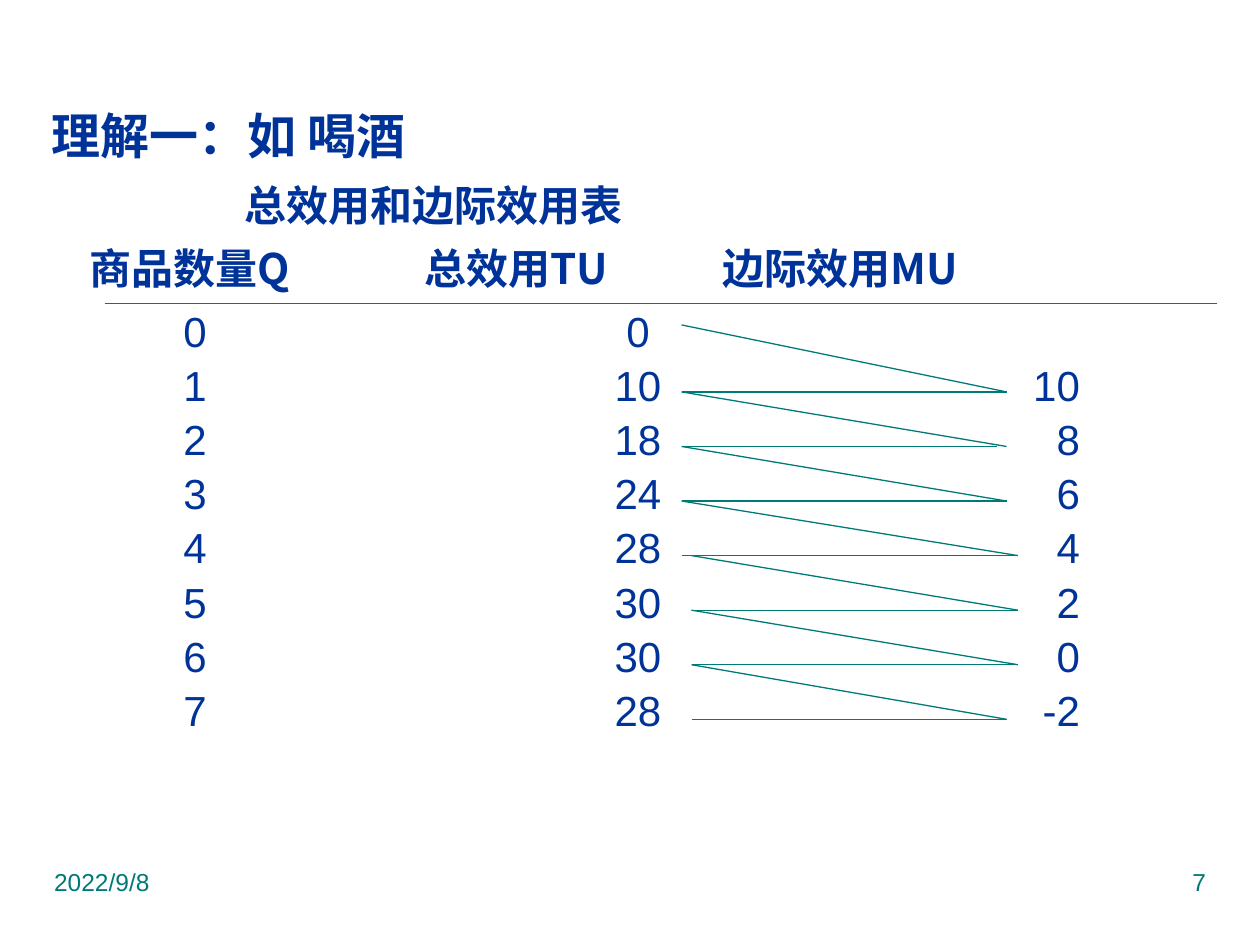
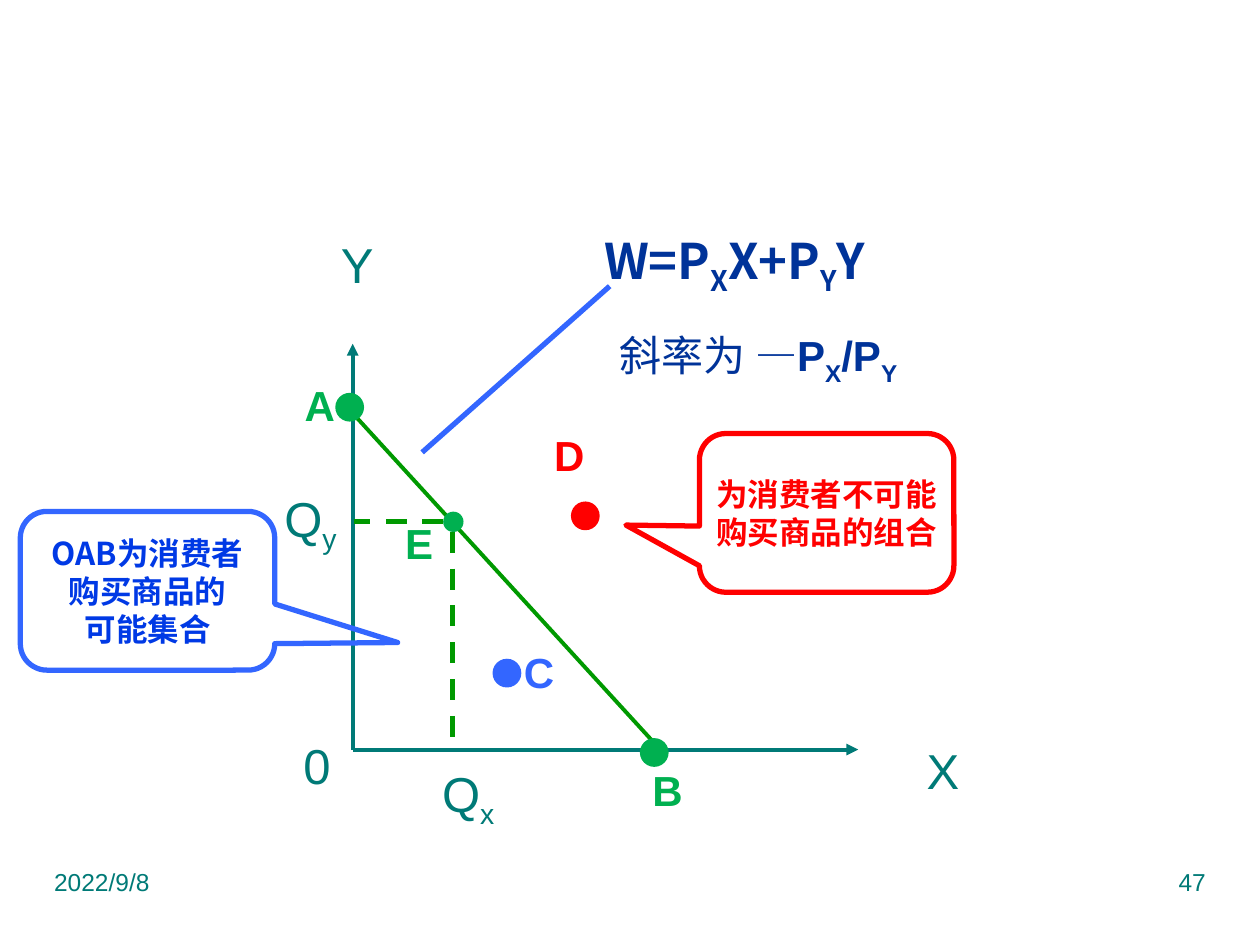
from lxml import etree
from pptx import Presentation
from pptx.dml.color import RGBColor
from pptx.enum.dml import MSO_LINE
from pptx.enum.shapes import MSO_CONNECTOR, MSO_SHAPE
from pptx.enum.text import MSO_ANCHOR, PP_ALIGN
from pptx.oxml.ns import qn
from pptx.util import Cm, Pt

STRAIGHT = MSO_CONNECTOR.STRAIGHT
DASH = MSO_LINE.DASH
OVAL, CALLOUT = MSO_SHAPE.OVAL, MSO_SHAPE.ROUNDED_RECTANGULAR_CALLOUT
LEFT, CENTER, RIGHT = PP_ALIGN.LEFT, PP_ALIGN.CENTER, PP_ALIGN.RIGHT
TOP, MIDDLE = MSO_ANCHOR.TOP, MSO_ANCHOR.MIDDLE

TEAL = RGBColor(0x00, 0x7A, 0x77)
NAVY = RGBColor(0x00, 0x33, 0x99)
GREEN = RGBColor(0x00, 0xB0, 0x50)
LINE_GREEN = RGBColor(0x00, 0x99, 0x00)
BLUE = RGBColor(0x33, 0x66, 0xFF)
TEXT_BLUE = RGBColor(0x00, 0x39, 0xE5)
RED = RGBColor(0xFF, 0x00, 0x00)
LATIN, CHINESE = "Arial", "Noto Sans CJK SC"

FOOTER = {"size": Pt(14), "name": LATIN}
TITLE = {"size": Pt(28), "name": CHINESE, "bold": True}
HEADING = {"size": Pt(24), "name": CHINESE, "bold": True}
NUMBER = {"size": Pt(24), "name": LATIN}
POINT = {"size": Pt(24), "name": LATIN, "bold": True}
AXIS = {"size": Pt(28), "name": LATIN}
NOTE = {"size": Pt(18), "name": CHINESE, "bold": True}


def write(text_frame, text, color, style, alignment=LEFT):
    """Write lines of text; parts between underscores are subscripts."""
    for index, line in enumerate(text.split("\n")):
        paragraph = text_frame.paragraphs[0] if index == 0 else text_frame.add_paragraph()
        paragraph.alignment = alignment
        for part, words in enumerate(line.split("_")):
            if not words:
                continue
            run = paragraph.add_run()
            run.text = words
            run.font.color.rgb = color
            for name, value in style.items():
                setattr(run.font, name, value)
            properties = run._r.get_or_add_rPr()
            etree.SubElement(properties, qn("a:ea"), typeface=CHINESE)
            if part % 2:
                properties.set("baseline", "-25000")


def add_line(slide, start, end, color, width, dash=None, arrow=False):
    connector = slide.shapes.add_connector(STRAIGHT, *map(Cm, start + end))
    connector.line.color.rgb = color
    connector.line.width = Pt(width)
    if dash:
        connector.line.dash_style = dash
    if arrow:
        etree.SubElement(connector.line._get_or_add_ln(), qn("a:tailEnd"), type="triangle")
    etree.SubElement(connector._element.spPr, qn("a:effectLst"))


presentation = Presentation()
presentation.slide_width, presentation.slide_height = Cm(25.4), Cm(19.05)
blank = presentation.slide_layouts[6]

# Both slides with date and slide number
slides = []
for slide_number in ("7", "47"):
    slide = presentation.slides.add_slide(blank)
    slides.append(slide)
    for left, text, alignment in ((0.84, "2022/9/8", LEFT), (18.21, slide_number, RIGHT)):
        shape = slide.shapes.add_textbox(Cm(left), Cm(17.35), Cm(6.35), Cm(1.32))
        shape.text_frame.word_wrap = True
        write(shape.text_frame, text, TEAL, FOOTER, alignment)
utility_slide, budget_slide = slides

# Utility table
headers = ("商品数量Q", "总效用TU", "边际效用MU")
total_utility = (0, 10, 18, 24, 28, 30, 30, 28)
marginal_utility = ("", 10, 8, 6, 4, 2, 0, -2)
rows = [headers, *zip(range(8), total_utility, marginal_utility)]
columns = (  # width, left margin of numbers, right margin of numbers, alignment
    (6.76, 0, 2.5, CENTER),
    (6, 2.6, 0, CENTER),
    (7.21, 0, 0, RIGHT),
)
frame = utility_slide.shapes.add_table(len(rows), 3, Cm(1.8), Cm(4.75), Cm(19.97), Cm(10.14))
table = frame.table
table.first_row = table.horz_banding = False
for column, values in zip(table.columns, columns):
    column.width = Cm(values[0])
for row_index, row in enumerate(rows):
    table.rows[row_index].height = Cm(1.09 if row_index else 1.42)
    for column_index, value in enumerate(row):
        cell = table.cell(row_index, column_index)
        cell.fill.background()
        margin_left, margin_right, alignment = columns[column_index][1:]
        cell.margin_top = cell.margin_bottom = 0
        cell.margin_left = Cm(margin_left if row_index else 0)
        cell.margin_right = Cm(margin_right if row_index else 0)
        cell.vertical_anchor = MIDDLE if row_index else TOP
        if row_index:
            write(cell.text_frame, str(value), NAVY, NUMBER, alignment)
        else:
            write(cell.text_frame, value, NAVY, HEADING)
        for side in ("a:lnB", "a:lnT", "a:lnR", "a:lnL"):
            border = etree.Element(qn(side), w="0")
            etree.SubElement(border, qn("a:noFill"))
            cell._tc.get_or_add_tcPr().insert(0, border)

# Rule under the headers and zigzag from total to marginal utility
add_line(utility_slide, (2.11, 6.12), (24.54, 6.12), TEAL, 0.75)
zigzag = (  # diagonal start, diagonal end, flat start, flat end
    (13.74, 20.29, 13.74, 20.29),
    (13.74, 20.29, 13.74, 20.09),
    (13.74, 20.29, 13.74, 20.29),
    (13.74, 20.52, 13.74, 20.52),
    (13.94, 20.52, 13.94, 20.52),
    (13.94, 20.52, 13.94, 20.52),
    (13.94, 20.29, 13.94, 20.29),
)
previous_y = 6.55
for step, (diagonal_start, diagonal_end, flat_start, flat_end) in enumerate(zigzag):
    y = 7.9 + 1.1 * step
    add_line(utility_slide, (diagonal_start, previous_y), (diagonal_end, y), TEAL, 0.75)
    add_line(utility_slide, (flat_start, y), (flat_end, y), TEAL, 0.75)
    previous_y = y

# Axes, budget line and pointer to its formula
origin = (7.11, 15.11)
for end in ((17.3, 15.11), (7.11, 6.93)):
    add_line(budget_slide, origin, end, TEAL, 2.25, arrow=True)
add_line(budget_slide, (7.11, 8.33), (13.31, 15.11), LINE_GREEN, 2.25)
add_line(budget_slide, (8.51, 9.12), (12.29, 5.77), BLUE, 3)

# Callouts
callouts = (
    (0.41, 10.31, 0.983, 0.326, BLUE, TEXT_BLUE, "OAB为消费者\n购买商品的\n可能集合"),
    (14.1, 8.74, -0.789, 0.077, RED, RED, "为消费者不可能\n购买商品的组合"),
)
for left, top, tip_x, tip_y, line_color, text_color, text in callouts:
    shape = budget_slide.shapes.add_shape(CALLOUT, Cm(left), Cm(top), Cm(5.13), Cm(3.2))
    shape.shadow.inherit = False
    shape.adjustments[0], shape.adjustments[1], shape.adjustments[2] = tip_x, tip_y, 0.167
    shape.fill.background()
    shape.line.color.rgb = line_color
    shape.line.width = Pt(3)
    shape.text_frame.word_wrap = False
    shape.text_frame.vertical_anchor = MIDDLE
    write(shape.text_frame, text, text_color, NOTE, CENTER)

# Points: dot centre, diameter, label corner
points = (
    ("A", 7.05, 8.21, 0.58, 5.89, 7.52, GREEN),
    ("B", 13.19, 15.17, 0.58, 12.9, 15.29, GREEN),
    ("C", 10.22, 13.57, 0.58, 10.31, 12.9, BLUE),
    ("D", 11.8, 10.4, 0.58, 10.92, 8.53, RED),
    ("E", 9.14, 10.52, 0.41, 7.92, 10.31, GREEN),
)
for name, x, y, size, label_left, label_top, color in points:
    shape = budget_slide.shapes.add_shape(
        OVAL, Cm(x - size / 2), Cm(y - size / 2), Cm(size), Cm(size))
    shape.shadow.inherit = False
    shape.fill.solid()
    shape.fill.fore_color.rgb = color
    shape.line.fill.background()
    label = budget_slide.shapes.add_textbox(Cm(label_left), Cm(label_top), Cm(1.4), Cm(1.3))
    label.text_frame.word_wrap = True
    write(label.text_frame, name, color, POINT)

# Dashed lines from E to the axes
add_line(budget_slide, (9.12, 10.72), (9.12, 15.09), LINE_GREEN, 3, DASH)
add_line(budget_slide, (8.94, 10.52), (7.14, 10.52), LINE_GREEN, 3, DASH)

# Centred texts: centre, width
centred_texts = (
    (utility_slide, 4.6, 2.73, 8.4, "理解一：如 喝酒", NAVY, TITLE),
    (utility_slide, 8.74, 4.12, 9, "总效用和边际效用表", NAVY, HEADING),
    (budget_slide, 7.2, 5.32, 1.8, "Y", TEAL, AXIS),
    (budget_slide, 19.01, 15.53, 1.8, "X", TEAL, AXIS),
    (budget_slide, 6.39, 15.42, 1.6, "0", TEAL, AXIS),
    (budget_slide, 9.44, 16.06, 2, "Q_x_", TEAL, AXIS),
    (budget_slide, 6.26, 10.52, 2, "Q_y_", TEAL, AXIS),
    (budget_slide, 14.81, 5.32, 7.6, "W=P_X_X+P_Y_Y", NAVY, TITLE),
)
for slide, x, y, width, text, color, style in centred_texts:
    shape = slide.shapes.add_textbox(Cm(x - width / 2), Cm(y - 0.8), Cm(width), Cm(1.6))
    shape.text_frame.word_wrap = True
    shape.text_frame.vertical_anchor = MIDDLE
    write(shape.text_frame, text, color, style, CENTER)

# Slope: plain words, then a bold ratio
shape = budget_slide.shapes.add_textbox(Cm(11.29), Cm(6.33), Cm(8), Cm(1.8))
shape.text_frame.word_wrap = True
shape.text_frame.vertical_anchor = MIDDLE
write(shape.text_frame, "斜率为 —", NAVY, NUMBER, CENTER)
write(shape.text_frame, "P_X_/P_Y_", NAVY, POINT, CENTER)

presentation.save("out.pptx")
